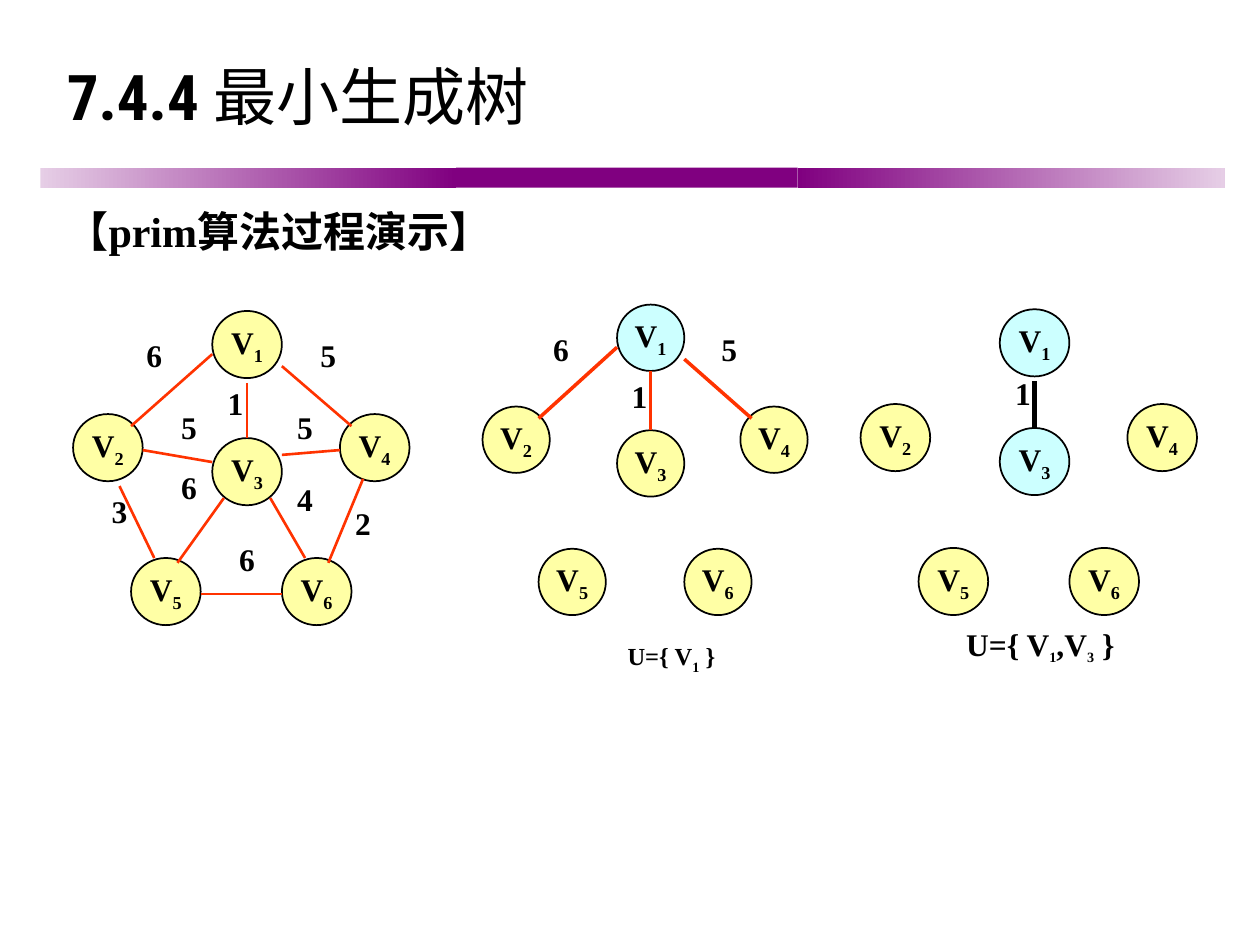
from lxml.etree import SubElement
from pptx import Presentation
from pptx.dml.color import RGBColor
from pptx.enum.shapes import MSO_CONNECTOR, MSO_SHAPE
from pptx.enum.text import MSO_ANCHOR, PP_ALIGN
from pptx.oxml.ns import qn
from pptx.util import Inches, Pt

BLACK = RGBColor(0x00, 0x00, 0x00)
RED = RGBColor(0xFF, 0x33, 0x00)
CYAN = RGBColor(0xCC, 0xFF, 0xFF)
YELLOW = RGBColor(0xFF, 0xFF, 0xA5)
PURPLE = RGBColor(0x80, 0x00, 0x80)
PALE = RGBColor(0xE6, 0xCE, 0xE6)
SERIF, SANS, HAN = "Times New Roman", "Roboto Condensed", "Noto Sans CJK JP"
COLS, ROWS = 29, 27
SPOTS = {"2": (0, 9), "3": (12, 11), "4": (23, 9), "5": (5, 21), "6": (18, 21)}


class Grid:
    """Turn columns and rows of a box in inches into slide lengths."""

    def __init__(self, left, top, width, height):
        self.left, self.top = left, top
        self.col, self.row = width / COLS, height / ROWS

    def spot(self, col, row):
        """Return the slide position of a grid point."""
        return Inches(self.left + col * self.col), Inches(self.top + row * self.row)

    def size(self, cols, rows):
        """Return the slide size of a span of cells."""
        return Inches(cols * self.col), Inches(rows * self.row)


def add_run(para, text, size=18, font=SERIF, bold=True, sub=False):
    """Add one black run, lowered when it is a subscript."""
    run = para.add_run()
    run.text = text
    run.font.size, run.font.name, run.font.bold = Pt(size), font, bold
    run.font.color.rgb = BLACK
    props = run.font._element
    if sub:
        props.set("baseline", "-25000")
    if font == HAN:
        SubElement(props, qn("a:ea"), typeface=HAN)


def add_text(slide, box, align=PP_ALIGN.CENTER):
    """Add a wrapping text box and return its paragraph."""
    frame = slide.shapes.add_textbox(*box).text_frame
    frame.word_wrap = True
    para = frame.paragraphs[0]
    para.alignment = align
    return para


def add_node(slide, grid, num, spot, color):
    """Draw one named vertex."""
    node = slide.shapes.add_shape(MSO_SHAPE.OVAL, *grid.spot(*spot), *grid.size(6, 5.6))
    node.shadow.inherit = False
    node.fill.solid()
    node.fill.fore_color.rgb = color
    node.line.color.rgb, node.line.width = BLACK, Pt(1)
    frame = node.text_frame
    frame.word_wrap = False
    frame.vertical_anchor = MSO_ANCHOR.MIDDLE
    para = frame.paragraphs[0]
    para.alignment = PP_ALIGN.CENTER
    add_run(para, "V")
    add_run(para, num, sub=True)


def add_edge(slide, grid, ends, color, width):
    """Draw one straight edge."""
    edge = slide.shapes.add_connector(
        MSO_CONNECTOR.STRAIGHT, *grid.spot(*ends[:2]), *grid.spot(*ends[2:]))
    edge.line.color.rgb, edge.line.width = color, Pt(width)
    SubElement(edge._element.spPr, qn("a:effectLst"))


def add_graph(slide, box, edges, labels, chosen="", color=RED, width=2, top=0.4):
    """Draw a weighted graph in a box and return its grid."""
    grid = Grid(*box)
    for num, spot in {"1": (12, top), **SPOTS}.items():
        add_node(slide, grid, num, spot, CYAN if num in chosen else YELLOW)
    for ends in edges:
        add_edge(slide, grid, ends, color, width)
    for text, col, row in labels:
        add_run(add_text(slide, (*grid.spot(col, row), *grid.size(4, 4.2))), text)
    return grid


def add_set(slide, grid, area, nums, size, small):
    """Write the set of chosen vertices under a graph."""
    para = add_text(slide, (*grid.spot(*area[:2]), *grid.size(*area[2:])))
    for lead, num in zip(("U={ V", ",V"), nums):
        add_run(para, lead, size)
        add_run(para, num, small, sub=True)
    add_run(para, " }", size)


def add_band(slide, left, top, height, parts):
    """Draw the rule as bars side by side, each from one colour to another."""
    for width, start, end in parts:
        bar = slide.shapes.add_shape(
            MSO_SHAPE.RECTANGLE, Inches(left), Inches(top), Inches(width), Inches(height))
        bar.shadow.inherit = False
        bar.line.fill.background()
        if start == end:
            bar.fill.solid()
            bar.fill.fore_color.rgb = start
        else:
            bar.fill.gradient()
            bar.fill.gradient_angle = 0
            for stop, color in zip(bar.fill.gradient_stops, (start, end)):
                stop.color.rgb = color
        left += width


def add_head(slide, left, top, width, height):
    """Place the title and the line below the rule."""
    title = slide.shapes.title
    title.left, title.top = Inches(left), Inches(top)
    title.width, title.height = Inches(width), Inches(height)
    title.text_frame.vertical_anchor = MSO_ANCHOR.MIDDLE
    para = title.text_frame.paragraphs[0]
    para.alignment = PP_ALIGN.LEFT
    add_run(para, "7.4.4 ", 36, SANS)
    add_run(para, "最小生成树", 36, HAN, False)
    box = [Inches(n) for n in (left, top + 1.22, width, 0.58)]
    add_run(add_text(slide, box, PP_ALIGN.LEFT), "【prim算法过程演示】", 24)


def main():
    """Build the slide and save it."""
    deck = Presentation()
    deck.slide_width, deck.slide_height = Inches(10), Inches(7.5)
    slide = deck.slides.add_slide(deck.slide_layouts[5])
    add_band(slide, 0.32, 1.33, 0.16, [
        (3.3, PALE, PURPLE), (2.71, PURPLE, PURPLE), (3.39, PURPLE, PALE)])
    add_head(slide, 0.43, 0.36, 9.06, 0.8)

    sides = [(12, 4, 5, 10), (18, 5, 24, 10)]
    tops = [("6", 5, 2), ("5", 20, 2), ("1", 12, 6)]
    add_graph(
        slide, (0.58, 2.43, 2.67, 2.57),
        sides + [(4, 15, 7, 21), (25, 14.4, 22, 21.4), (11, 24, 18, 24),
                 (15, 6.4, 15, 11), (13, 16, 9, 21.4), (17, 16, 20, 21),
                 (6, 12, 12, 13), (23, 12, 18, 12.4)],
        tops + [("3", 2, 15), ("2", 23, 16), ("6", 8, 13), ("5", 18, 8),
                ("5", 8, 8), ("4", 18, 14), ("6", 13, 19)], width=1.5)
    first = add_graph(slide, (3.83, 2.38, 2.58, 2.54),
                      sides + [(15, 6, 15, 11)], tops, "1")
    add_set(slide, first, (10.3, 28.3, 13.1, 3.9), "1", 14, 14)
    second = add_graph(slide, (6.83, 2.35, 2.67, 2.57), [(15, 7.1, 15, 11)],
                       tops[2:], "13", BLACK, 2.5, 1.1)
    add_set(slide, second, (2, 26.9, 27, 4.4), "13", 18, 14)
    deck.save("out.pptx")


if __name__ == "__main__":
    main()
